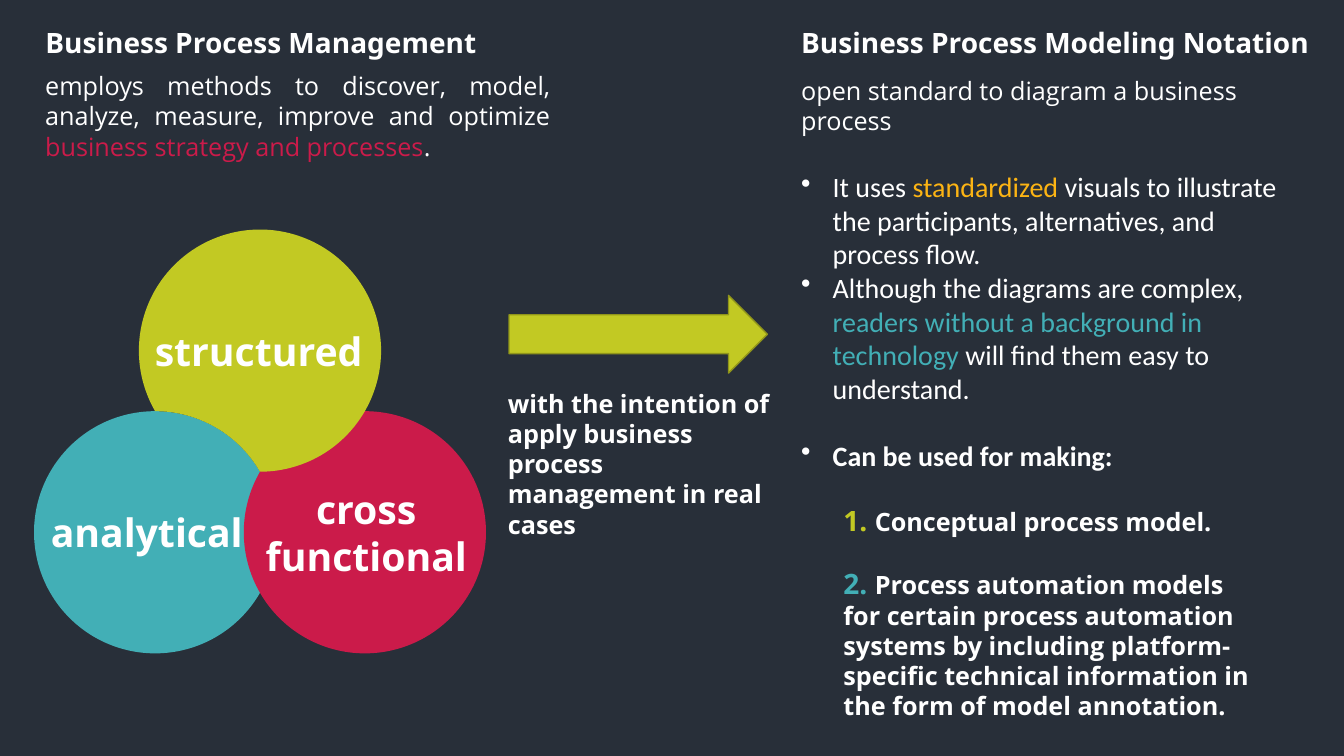
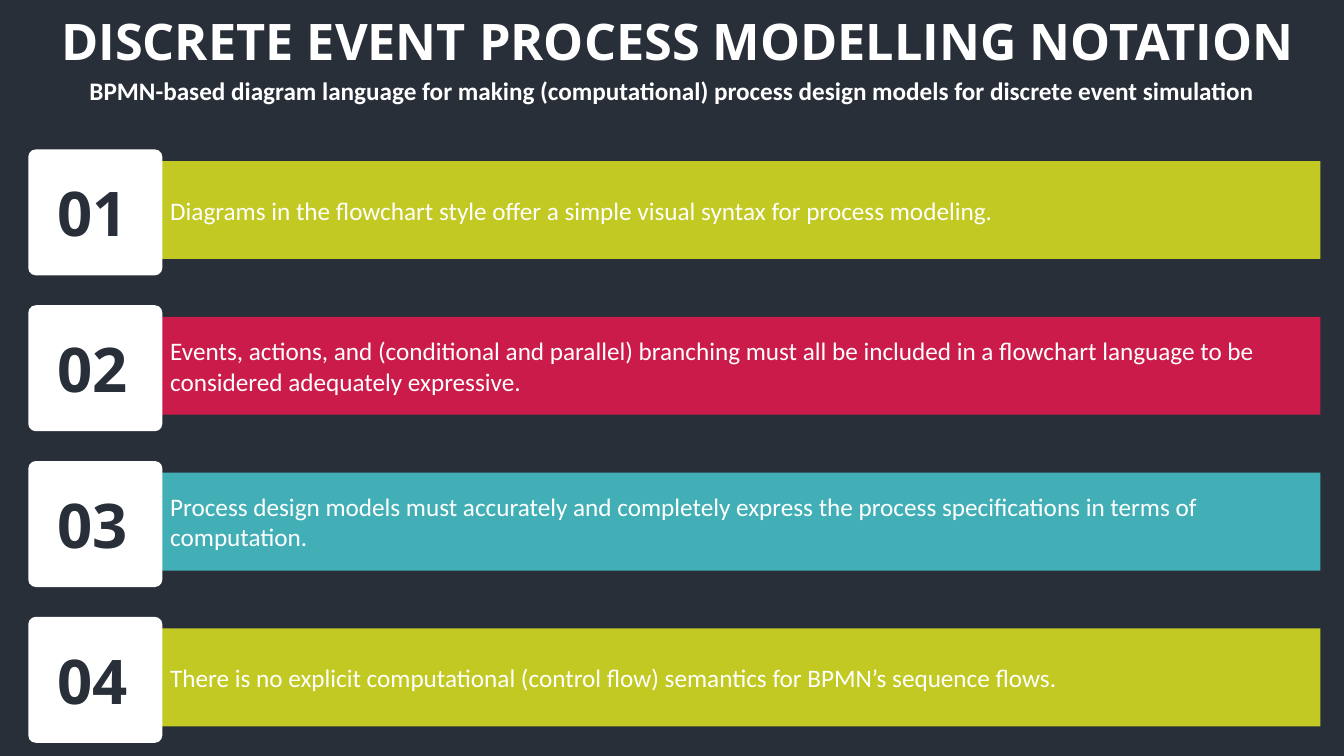
"""Build two slides about business process management and modelling notation."""
from math import cos, radians, sin, sqrt

from lxml.etree import SubElement
from pptx import Presentation
from pptx.dml.color import RGBColor
from pptx.enum.shapes import MSO_SHAPE as Preset
from pptx.enum.text import MSO_ANCHOR as Anchor, MSO_AUTO_SIZE as AutoSize, PP_ALIGN as Align
from pptx.oxml.ns import qn
from pptx.util import Pt

NAVY = RGBColor(0x28, 0x2F, 0x39)
WHITE = RGBColor(0xFF, 0xFF, 0xFF)
LIME = RGBColor(0xC2, 0xC9, 0x23)
OLIVE = RGBColor(0x90, 0x95, 0x1A)
TEAL = RGBColor(0x42, 0xAF, 0xB6)
CRIMSON = RGBColor(0xCB, 0x1B, 0x4A)
AMBER = RGBColor(0xFC, 0xB4, 0x14)

HEADING_FONT = "Noto Sans"
TEXT_FONT = "Open Sans"
LIST_FONT = "Calibri"

RADIUS = 86.5
TEAL_CENTRE = (110.8, 380.2)
HALF_STEP = RADIUS * sqrt(3) / 2
LIME_CENTRE = (TEAL_CENTRE[0] + HALF_STEP, TEAL_CENTRE[1] - 1.5 * RADIUS)
CRIMSON_CENTRE = (TEAL_CENTRE[0] + 2 * HALF_STEP, TEAL_CENTRE[1])

ROW_TOP = 106.7
ROW_PITCH = 111.3
ROWS = [
    ("Diagrams in the flowchart style offer a simple visual syntax for process modeling.", LIME),
    ("Events, actions, and (conditional and parallel) branching must all be included in a "
     "flowchart language to be considered adequately expressive.", CRIMSON),
    ("Process design models must accurately and completely express the process specifications "
     "in terms of computation.", TEAL),
    ("There is no explicit computational (control flow) semantics for BPMN’s sequence flows.",
     LIME),
]


def write(paragraph, text, size=18, font=TEXT_FONT, color=WHITE, bold=False,
          align=Align.LEFT, before=0, bullet=False):
    """Add a formatted run and set the format of its paragraph."""
    run = paragraph.add_run()
    run.text = text
    run.font.size = Pt(size)
    run.font.name = font
    run.font.bold = bold
    run.font.color.rgb = color
    paragraph.alignment = align
    paragraph.space_before = Pt(before)
    properties = paragraph._p.get_or_add_pPr()
    if bullet and properties.find(qn("a:buChar")) is None:
        properties.set("marL", str(Pt(22.5)))
        properties.set("indent", str(-Pt(22.5)))
        SubElement(properties, qn("a:buChar")).set("char", "•")


def add_text(slide, left, top, width, height, anchor=Anchor.TOP):
    """Add a wrapping text box and return its text frame."""
    frame = slide.shapes.add_textbox(Pt(left), Pt(top), Pt(width), Pt(height)).text_frame
    frame.word_wrap = True
    frame.vertical_anchor = anchor
    return frame


def set_title(slide, text, left, top, width, height, **style):
    """Place and format the title placeholder."""
    title = slide.shapes.title
    title.left, title.top, title.width, title.height = map(Pt, (left, top, width, height))
    frame = title.text_frame
    frame.auto_size = AutoSize.NONE
    frame.vertical_anchor = Anchor.TOP
    write(frame.paragraphs[0], text, bold=True, **style)


def paint(shape, fill, line=None):
    """Give a shape a flat fill and an optional outline."""
    shape.shadow.inherit = False
    shape.fill.solid()
    shape.fill.fore_color.rgb = fill
    if line is None:
        shape.line.fill.background()
    else:
        shape.line.color.rgb = line
        shape.line.width = Pt(1)


def add_shape(slide, preset, left, top, width, height, fill, line=None):
    """Add a painted preset shape."""
    shape = slide.shapes.add_shape(preset, Pt(left), Pt(top), Pt(width), Pt(height))
    paint(shape, fill, line)
    return shape


def add_circle(slide, centre, fill):
    """Add a circle of the common radius around a centre."""
    left, top = (value - RADIUS for value in centre)
    add_shape(slide, Preset.OVAL, left, top, 2 * RADIUS, 2 * RADIUS, fill)


def arc(centre, start, end):
    """Return points on a circle between two angles in degrees."""
    step = 2 if end > start else -2
    return [(Pt(centre[0] + RADIUS * cos(radians(angle))),
             Pt(centre[1] + RADIUS * sin(radians(angle))))
            for angle in range(start, end + step, step)]


def add_interlocked_circles(slide):
    """Add three circles, each overlapping the next in turn."""
    add_circle(slide, TEAL_CENTRE, TEAL)
    add_circle(slide, CRIMSON_CENTRE, CRIMSON)
    points = arc(LIME_CENTRE, 150, 450) + arc(TEAL_CENTRE, -30, -90)
    builder = slide.shapes.build_freeform(*points[0])
    builder.add_line_segments(points[1:])
    paint(builder.convert_to_shape(), LIME)
    labels = [(LIME_CENTRE, -1, ["structured"]), (TEAL_CENTRE, -6, ["analytical"]),
              (CRIMSON_CENTRE, 1, ["cross", "functional"])]
    for (x, y), shift, lines in labels:
        frame = add_text(slide, x - RADIUS + shift, y - RADIUS, 2 * RADIUS, 2 * RADIUS,
                         Anchor.MIDDLE)
        for index, line in enumerate(lines):
            paragraph = frame.add_paragraph() if index else frame.paragraphs[0]
            write(paragraph, line, size=28, bold=True, align=Align.CENTER)


def add_notation_list(slide):
    """Add the description and bullets of the modeling notation."""
    frame = add_text(slide, 565.2, 50.4, 375, 293)
    write(frame.paragraphs[0], "open standard to diagram a business process")
    bullets = [
        (24, False, [("It uses ", WHITE), ("standardized", AMBER),
                     (" visuals to illustrate the participants, alternatives, and process flow.",
                      WHITE)]),
        (0, False, [("Although the diagrams are complex, ", WHITE),
                    ("readers without a background in technology ", TEAL),
                    ("will find them easy to understand.", WHITE)]),
        (24, True, [("Can be used for making:", WHITE)]),
    ]
    for before, bold, runs in bullets:
        paragraph = frame.add_paragraph()
        for text, color in runs:
            write(paragraph, text, size=20, font=LIST_FONT, color=color, bold=bold,
                  before=before, bullet=True)


def build_overview(slide):
    """Fill the slide on process management and its notation."""
    heading = {"size": 20, "font": HEADING_FONT}
    set_title(slide, "Business Process Management", 25.2, 14.4, 375, 31.7, **heading)
    notation = add_text(slide, 565.2, 14.4, 390, 31.7)
    write(notation.paragraphs[0], "Business Process Modeling Notation", bold=True, **heading)

    methods = add_text(slide, 25.2, 46.8, 375, 72.7).paragraphs[0]
    for text, color in [
            ("employs methods to discover, model, analyze, measure, improve and optimize ", WHITE),
            ("business strategy and processes", CRIMSON), (".", WHITE)]:
        write(methods, text, color=color, align=Align.JUSTIFY)

    add_interlocked_circles(slide)
    add_shape(slide, Preset.RIGHT_ARROW, 363.6, 211, 184.5, 55.5, LIME, OLIVE)
    intention = add_text(slide, 355.7, 273.6, 201, 116.6)
    write(intention.paragraphs[0], "with the intention of apply business process management "
          "in real cases", bold=True)

    add_notation_list(slide)
    uses = [("1. ", LIME, 356.4, "Conceptual process model."),
            ("2. ", TEAL, 401, "Process automation models for certain process automation systems "
             "by including platform-specific technical information in the form of model "
             "annotation.")]
    for number, color, top, text in uses:
        paragraph = add_text(slide, 595.4, top, 315.4, 32).paragraphs[0]
        write(paragraph, number, size=20, color=color, bold=True)
        write(paragraph, text, bold=True)


def add_row(slide, index, text, color):
    """Add a numbered badge and its coloured bar."""
    top = ROW_TOP + index * ROW_PITCH
    bar = add_shape(slide, Preset.RECTANGLE, 114.5, top + 8.3, 828.7, 70, color)
    badge = add_shape(slide, Preset.ROUNDED_RECTANGLE, 20.2, top, 95.8, 90, WHITE)
    badge.adjustments[0] = 0.06
    for shape in (bar, badge):
        shape.text_frame.word_wrap = True
        shape.text_frame.vertical_anchor = Anchor.MIDDLE
    write(bar.text_frame.paragraphs[0], text, font=LIST_FONT)
    badge.text_frame.margin_right = Pt(11)
    write(badge.text_frame.paragraphs[0], f"{index + 1:02}", size=44, color=NAVY, bold=True,
          align=Align.CENTER)


def build_principles(slide):
    """Fill the slide on the discrete event notation."""
    set_title(slide, "DISCRETE EVENT PROCESS MODELLING NOTATION", 4, 3.6, 960, 51,
              size=36, align=Align.CENTER)
    subtitle = add_text(slide, 0, 50.4, 960, 29)
    write(subtitle.paragraphs[0], "BPMN-based diagram language for making (computational) process "
          "design models for discrete event simulation", font=LIST_FONT, bold=True,
          align=Align.CENTER)
    for index, (text, color) in enumerate(ROWS):
        add_row(slide, index, text, color)


def main():
    """Build and save the presentation."""
    presentation = Presentation()
    presentation.slide_width, presentation.slide_height = Pt(960), Pt(540)
    background = presentation.slide_master.background.fill
    background.solid()
    background.fore_color.rgb = NAVY
    title_only = presentation.slide_layouts[5]
    for build in (build_overview, build_principles):
        build(presentation.slides.add_slide(title_only))
    presentation.save("out.pptx")


if __name__ == "__main__":
    main()
